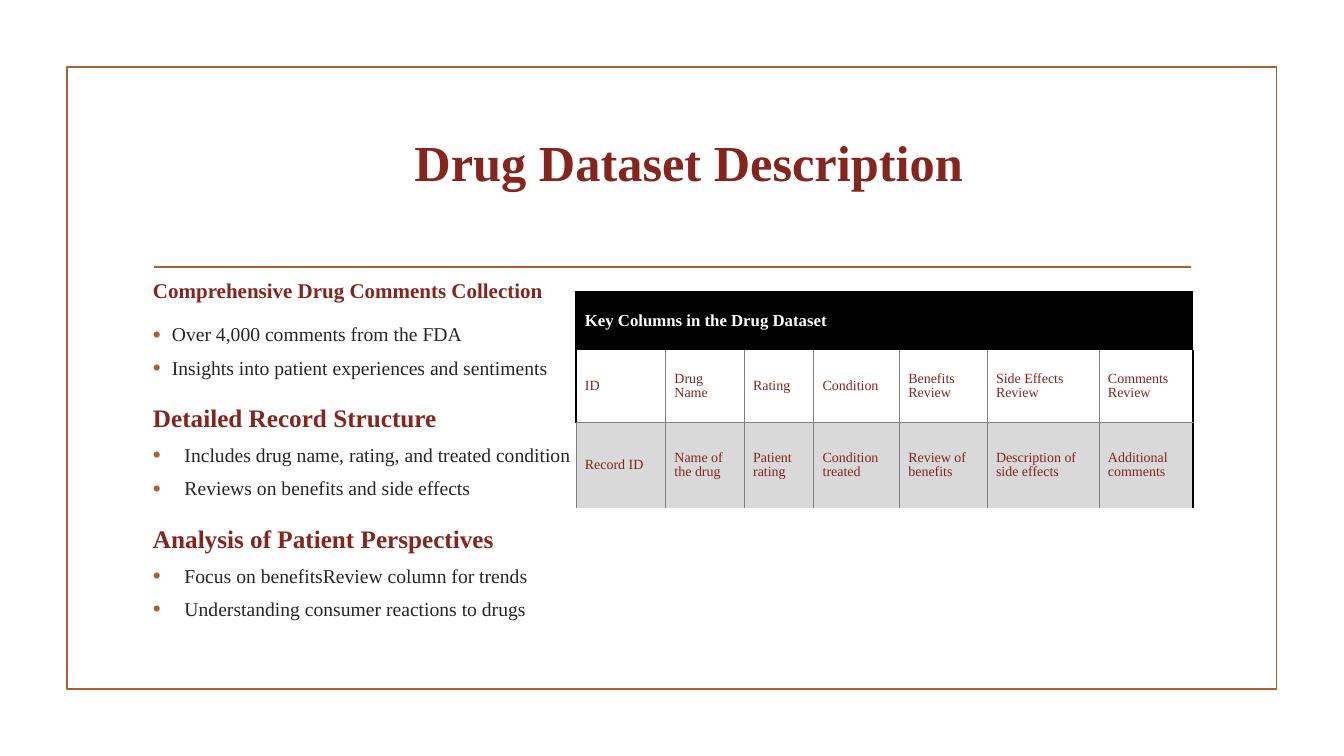
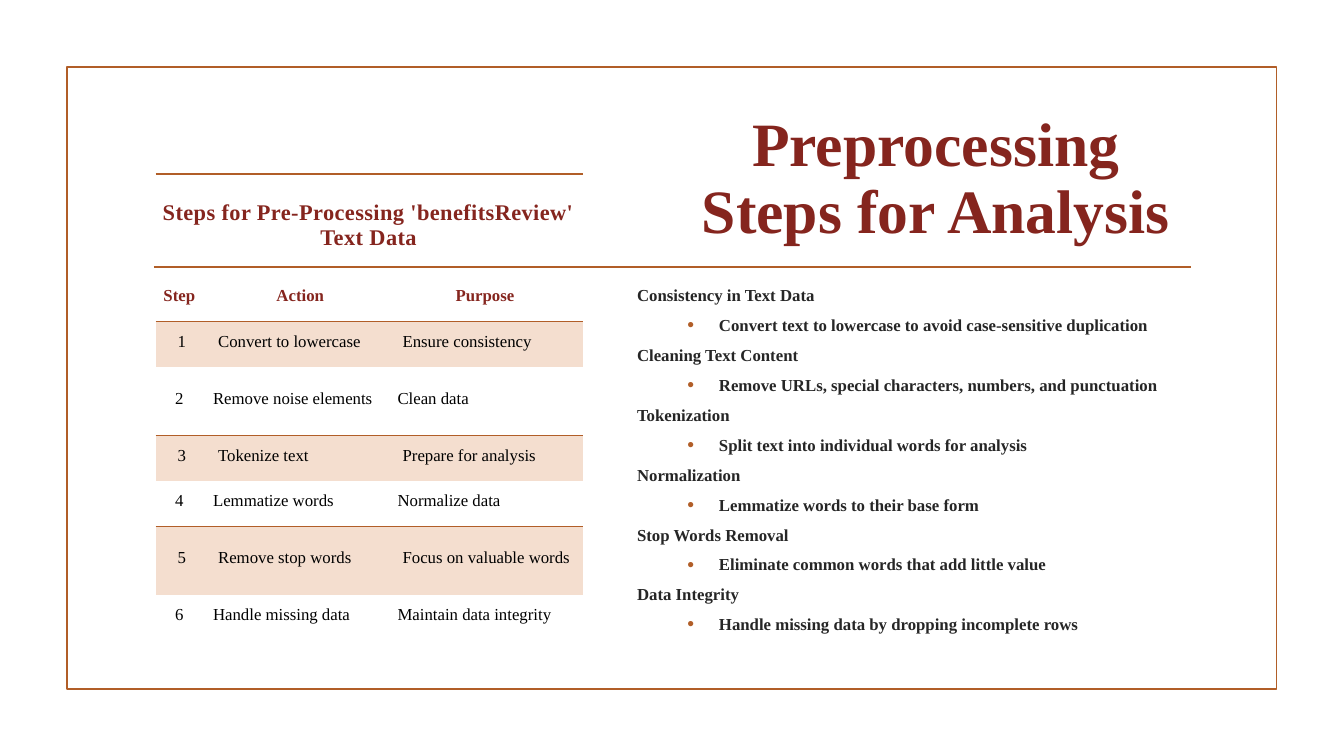
from lxml import etree
from pptx import Presentation
from pptx.dml.color import RGBColor
from pptx.enum import shapes, text
from pptx.oxml import ns
from pptx.util import Pt

COLORS = {
    "rust": "B15E28",
    "maroon": "85251E",
    "ink": "262626",
    "black": "000000",
    "white": "FFFFFF",
    "gray": "808080",
    "silver": "D9D9D9",
    "peach": "F4DECF",
}
FONT = "Times New Roman"
CENTER = text.PP_ALIGN.CENTER
LEFT = text.PP_ALIGN.LEFT

KEY_COLUMNS = [
    ("ID", "Record ID", 64),
    ("Drug Name", "Name of the drug", 56.2),
    ("Rating", "Patient rating", 49.7),
    ("Condition", "Condition treated", 61.2),
    ("Benefits Review", "Review of benefits", 62.6),
    ("Side Effects Review", "Description of side effects", 80),
    ("Comments Review", "Additional comments", 67.3),
]
DATASET_POINTS = [
    ("Comprehensive Drug Comments Collection",
     ["Over 4,000 comments from the FDA",
      "Insights into patient experiences and sentiments"]),
    ("Detailed Record Structure",
     ["Includes drug name, rating, and treated condition",
      "Reviews on benefits and side effects"]),
    ("Analysis of Patient Perspectives",
     ["Focus on benefitsReview column for trends",
      "Understanding consumer reactions to drugs"]),
]
STEPS = [
    ("Step", "Action", "Purpose"),
    ("1", "Convert to lowercase", "Ensure consistency"),
    ("2", "Remove noise elements", "Clean data"),
    ("3", "Tokenize text", "Prepare for analysis"),
    ("4", "Lemmatize words", "Normalize data"),
    ("5", "Remove stop words", "Focus on valuable words"),
    ("6", "Handle missing data", "Maintain data integrity"),
]
STEP_NOTES = [
    ("Consistency in Text Data", "Convert text to lowercase to avoid case-sensitive duplication"),
    ("Cleaning Text Content", "Remove URLs, special characters, numbers, and punctuation"),
    ("Tokenization", "Split text into individual words for analysis"),
    ("Normalization", "Lemmatize words to their base form"),
    ("Stop Words Removal", "Eliminate common words that add little value"),
    ("Data Integrity", "Handle missing data by dropping incomplete rows"),
]


def rgb(name):
    return RGBColor.from_string(COLORS[name])


def sub(parent, tag, **attrs):
    return etree.SubElement(parent, ns.qn(tag), attrs)


def write(paragraph, words, size, color, bold=False, align=LEFT, spacing=1.0):
    paragraph.alignment = align
    paragraph.line_spacing = spacing
    run = paragraph.add_run()
    run.text = words
    run.font.name = FONT
    run.font.size = Pt(size)
    run.font.bold = bold
    run.font.color.rgb = rgb(color)
    return run


def add_bullet(paragraph, indent, hanging):
    props = paragraph._p.get_or_add_pPr()
    props.set("marL", str(Pt(indent)))
    props.set("indent", str(-Pt(hanging)))
    sub(sub(props, "a:buClr"), "a:srgbClr", val=COLORS["rust"])
    sub(props, "a:buSzPct", val="115000")
    sub(props, "a:buFont", typeface="Arial")
    sub(props, "a:buChar", char="•")


def text_frame(slide, box, anchor):
    frame = slide.shapes.add_textbox(*map(Pt, box)).text_frame
    frame.word_wrap = True
    frame.vertical_anchor = anchor
    return frame


def add_title(slide, box, words, size, anchor):
    frame = text_frame(slide, box, anchor)
    write(frame.paragraphs[0], words, size, "maroon", True, CENTER, 0.9)


def add_outline(slide, box, lines):
    frame = text_frame(slide, box, text.MSO_ANCHOR.TOP)
    for index, (words, size, color, bold, gap, bullet) in enumerate(lines):
        paragraph = frame.add_paragraph() if index else frame.paragraphs[0]
        write(paragraph, words, size, color, bold, spacing=0.9)
        paragraph.space_before = Pt(gap + round(0.2 * size, 1) if index else 0)
        paragraph.space_after = Pt(6)
        if bullet:
            add_bullet(paragraph, *bullet)


def add_grid(slide, left, top, widths, heights):
    table = slide.shapes.add_table(
        len(heights), len(widths), Pt(left), Pt(top),
        Pt(sum(widths)), Pt(sum(heights))).table
    table.first_row = False
    table.horz_banding = False
    for column, width in zip(table.columns, widths):
        column.width = Pt(width)
    for row, height in zip(table.rows, heights):
        row.height = Pt(height)
    table.cell(0, 0).merge(table.cell(0, len(widths) - 1))
    return table


def style_cell(cell, margins, fill=None, **borders):
    cell.margin_left, cell.margin_top, cell.margin_right, cell.margin_bottom = map(Pt, margins)
    cell.vertical_anchor = text.MSO_ANCHOR.MIDDLE
    props = cell._tc.get_or_add_tcPr()
    for side in "LRTB":
        border = borders.get(side)
        if border:
            color, width = border
            line = sub(props, f"a:ln{side}", w=str(Pt(width)))
            sub(sub(line, "a:solidFill"), "a:srgbClr", val=COLORS[color])
        else:
            sub(sub(props, f"a:ln{side}", w="0"), "a:noFill")
    if fill:
        cell.fill.solid()
        cell.fill.fore_color.rgb = rgb(fill)
    else:
        cell.fill.background()


def add_key_columns(slide, left, top):
    labels, meanings, widths = zip(*KEY_COLUMNS)
    table = add_grid(slide, left, top, widths, [41, 52, 61])
    thin, thick = ("gray", 0.5), ("black", 1.5)
    last = len(widths) - 1
    for column in range(last + 1):
        style_cell(table.cell(0, column), (6.5, 5, 5, 5), "black", L=thick, T=thick)
    write(table.cell(0, 0).text_frame.paragraphs[0],
          "Key Columns in the Drug Dataset", 12, "white", True)
    for row, words in enumerate((labels, meanings), 1):
        label_row = row == 1
        for column, word in enumerate(words):
            cell = table.cell(row, column)
            first_edge = thick if label_row else thin
            style_cell(cell, (6.5, 5, 4.3, 5), None if label_row else "silver",
                       L=thin if column else first_edge,
                       R=thick if column == last else thin,
                       **{"B" if label_row else "T": thin})
            write(cell.text_frame.paragraphs[0], word, 10, "maroon", spacing=0.9)


def add_steps(slide, left, top):
    low, high = 32.5, 49
    table = add_grid(slide, left, top, [41, 131.8, 132.2],
                     [72.7, low, low, high, low, low, high, low])
    thin = ("rust", 0.75)
    for column in range(3):
        style_cell(table.cell(0, column), (0, 10.8, 0.7, 10.8), T=("rust", 1.5))
    heading = write(table.cell(0, 0).text_frame.paragraphs[0],
                    "Steps for Pre-Processing 'benefitsReview' Text Data",
                    16, "maroon", True, CENTER)
    heading._r.get_or_add_rPr().set("spc", "30")
    for index, words in enumerate(STEPS):
        header, shaded = index == 0, index % 2 == 1
        for column, word in enumerate(words):
            cell = table.cell(index + 1, column)
            edge = {"T": thin} if shaded else {}
            if not shaded and index < len(STEPS) - 1:
                edge = {"B": thin}
            style_cell(cell, (3.6 if shaded else 0, 3.6, 7.2, 7.2),
                       "peach" if shaded else None, **edge)
            write(cell.text_frame.paragraphs[0], word, 12,
                  "maroon" if header else "black", header,
                  CENTER if header or column == 0 else LEFT)


def add_page(deck):
    slide = deck.slides.add_slide(deck.slide_layouts[6])
    border = slide.shapes.add_shape(shapes.MSO_SHAPE.RECTANGLE, Pt(47.8), Pt(48), Pt(864), Pt(444))
    border.shadow.inherit = False
    border.fill.background()
    rule = slide.shapes.add_connector(
        shapes.MSO_CONNECTOR.STRAIGHT, Pt(110), Pt(190.8), Pt(850.5), Pt(190.8))
    sub(rule._element.spPr, "a:effectLst")
    for outline in (border, rule):
        outline.line.color.rgb = rgb("rust")
        outline.line.width = Pt(1.25)
    return slide


def dataset_slide(deck):
    slide = add_page(deck)
    add_title(slide, (102, 77, 780, 64), "Drug Dataset Description", 36, text.MSO_ANCHOR.BOTTOM)
    add_key_columns(slide, 411.3, 208.8)
    lines = []
    for section, (heading, points) in enumerate(DATASET_POINTS):
        lines.append((heading, 18 if section else 15, "maroon", True, 9.2, None))
        indent = 22.5 if section else 13.5
        for place, point in enumerate(points):
            gap = 0 if section or place else 6.9
            lines.append((point, 14, "ink", False, gap, (indent, indent)))
    add_outline(slide, (102.2, 196.6, 325, 266), lines)


def preprocessing_slide(deck):
    slide = add_page(deck)
    add_title(slide, (479.5, 77, 378, 103), "Preprocessing Steps for Analysis",
              44, text.MSO_ANCHOR.MIDDLE)
    add_steps(slide, 111.2, 124.4)
    lines = []
    for heading, note in STEP_NOTES:
        lines += [(heading, 12, "ink", True, 0, None),
                  (note, 12, "ink", True, 0, (58.5, 22.5))]
    add_outline(slide, (448, 201.6, 401, 261), lines)


def main():
    deck = Presentation()
    deck.slide_width, deck.slide_height = Pt(960), Pt(540)
    dataset_slide(deck)
    preprocessing_slide(deck)
    deck.save("out.pptx")


if __name__ == "__main__":
    main()
